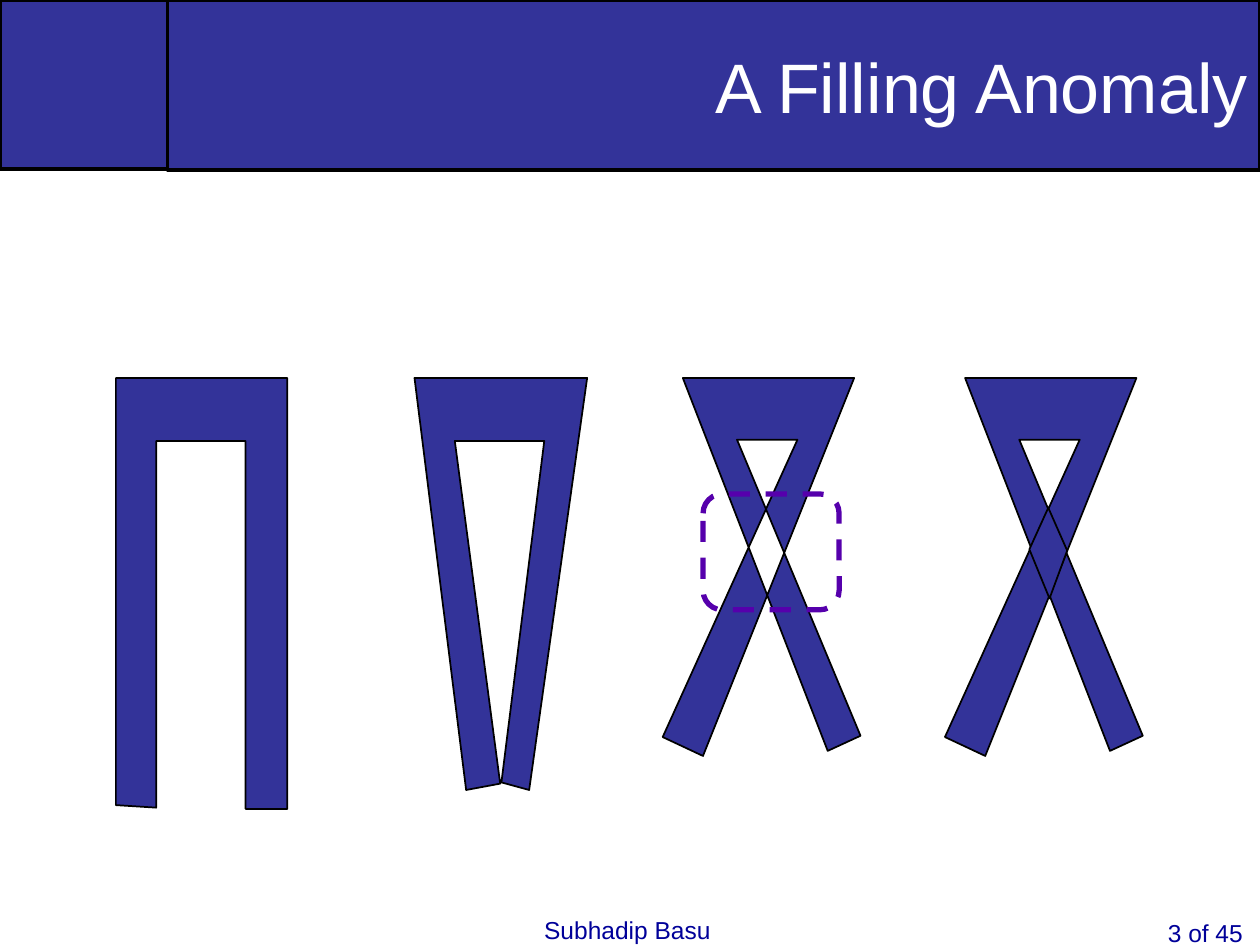
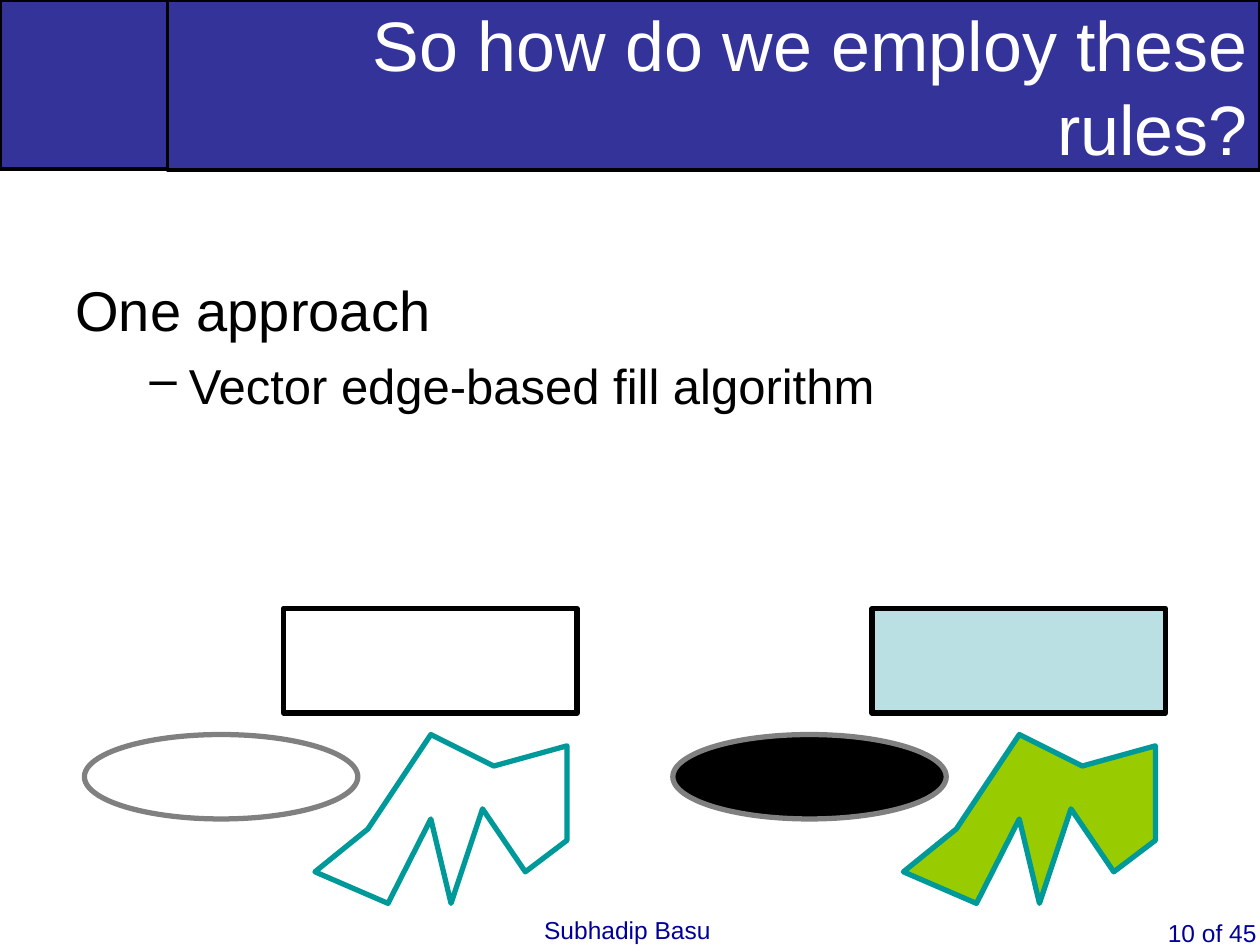
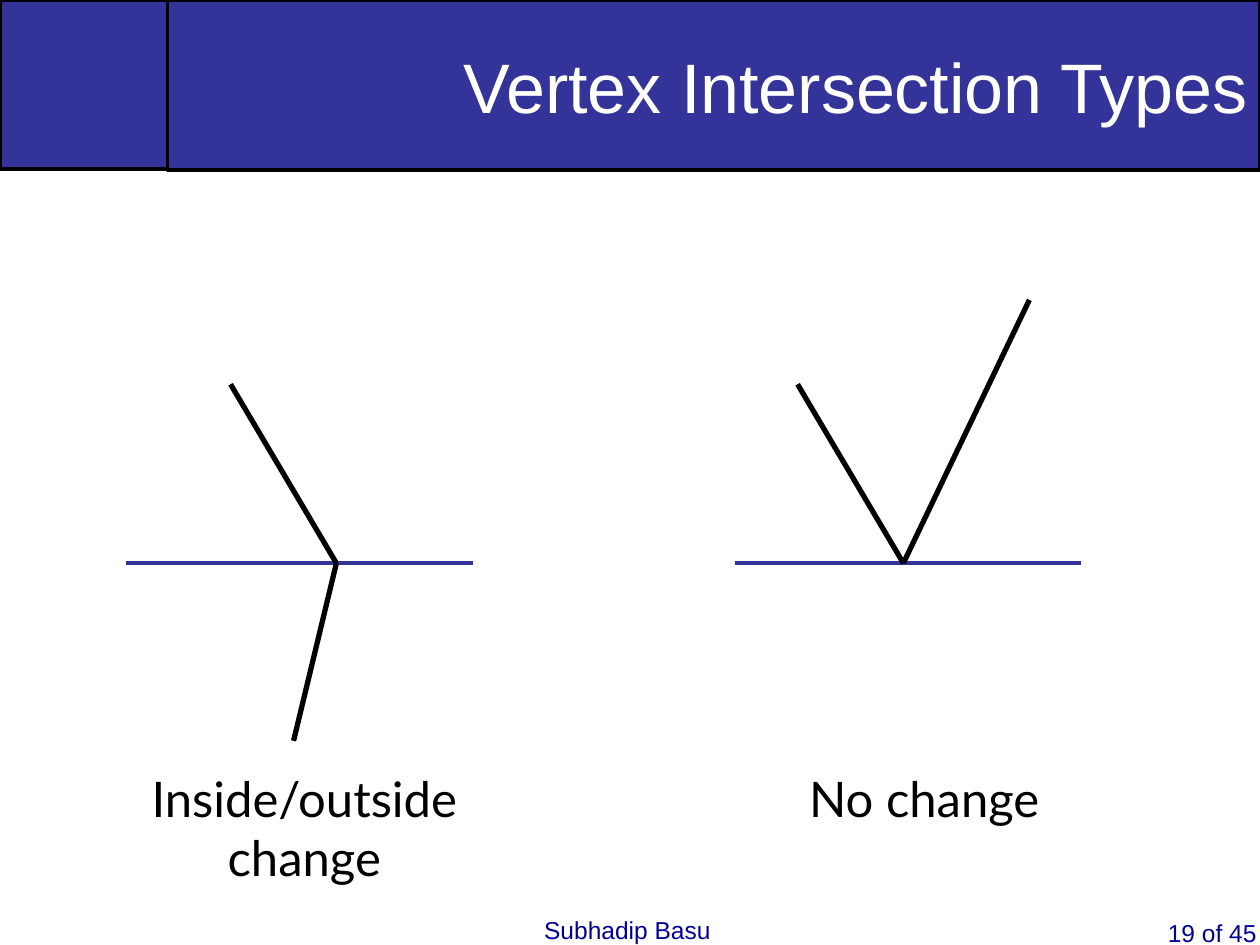
from lxml import etree
from pptx import Presentation
from pptx.dml.color import RGBColor
from pptx.enum.dml import MSO_LINE
from pptx.enum.shapes import MSO_CONNECTOR, MSO_SHAPE
from pptx.enum.text import MSO_ANCHOR, PP_ALIGN
from pptx.oxml.ns import qn
from pptx.util import Inches, Pt

RECT, ROUND, OVAL = MSO_SHAPE.RECTANGLE, MSO_SHAPE.ROUNDED_RECTANGLE, MSO_SHAPE.OVAL
LINE, DASH = MSO_CONNECTOR.STRAIGHT, MSO_LINE.DASH
LEFT, MID, RIGHT = PP_ALIGN.LEFT, PP_ALIGN.CENTER, PP_ALIGN.RIGHT
HALF = MSO_ANCHOR.MIDDLE

HUES = {
    "band": "333399", "foot": "000099", "black": "000000", "white": "FFFFFF",
    "dash": "5600AC", "pale": "BBE0E3", "gray": "808080", "lime": "99CC00",
    "teal": "009999",
}
TINT = {name: RGBColor.from_string(code) for name, code in HUES.items()}

HEAD = {"name": "Arial", "size": Pt(40)}
FOOT = {"name": "Arial", "size": Pt(14)}
MAIN = {"name": "Arial", "size": Pt(32)}
ITEM = {"name": "Arial", "size": Pt(28)}
LABEL = {"name": "Lato", "size": Pt(28)}


def paint(shape, fill, line, width):
    """Set the fill and outline; a fill of None leaves the shape open."""
    shape.shadow.inherit = False
    if fill:
        shape.fill.solid()
        shape.fill.fore_color.rgb = TINT[fill]
    else:
        shape.fill.background()
    shape.line.color.rgb = TINT[line]
    shape.line.width = Pt(width)


def write(para, text, form, hue="black", align=LEFT):
    """Add one formatted run to a paragraph."""
    para.alignment = align
    run = para.add_run()
    run.text = text
    for key, value in form.items():
        setattr(run.font, key, value)
    run.font.color.rgb = TINT[hue]


deck = Presentation()
deck.slide_width, deck.slide_height = Inches(10), Inches(7.5)

# Bands, title and footer of every slide
slides = []
for title, page in [
    ("A Filling Anomaly", 3),
    ("So how do we employ these rules?", 10),
    ("Vertex Intersection Types", 19),
]:
    slide = deck.slides.add_slide(deck.slide_layouts[6])
    slides.append(slide)
    for left, width, high in [(0, 1.33, 1.34), (1.33, 8.67, 1.35)]:
        band = slide.shapes.add_shape(RECT, Inches(left), 0, Inches(width), Inches(high))
        paint(band, "band", "black", 2)
    band.text_frame.vertical_anchor = HALF
    write(band.text_frame.paragraphs[0], title, HEAD, "white", RIGHT)
    for text, box, wrap in [
        (f"{page} of 45", (9.17, 7.24, 0.98, 0.57), True),
        ("Subhadip Basu", (4.22, 7.21, 1.52, 0.34), False),
    ]:
        foot = slide.shapes.add_textbox(*map(Inches, box)).text_frame
        foot.word_wrap = wrap
        write(foot.paragraphs[0], text, FOOT, "foot")

fold, rules, types = slides

# Slide 1: trousers whose legs close and then cross
wide = [(0.92, 6.39), (0.92, 3), (2.28, 3), (2.28, 6.42), (1.95, 6.42),
        (1.95, 3.5), (1.24, 3.5), (1.24, 6.41)]
near = [(3.7, 6.27), (3.29, 3), (4.66, 3), (4.2, 6.27), (3.98, 6.21),
        (4.32, 3.5), (3.61, 3.5), (3.97, 6.22)]
cross = [(6.57, 5.96), (5.42, 3), (6.78, 3), (5.58, 6), (5.26, 5.85),
         (6.33, 3.49), (5.85, 3.49), (6.83, 5.84)]
patch = [(8.17, 4.36), (8.32, 4.03), (8.47, 4.37), (8.33, 4.75)]
solid = [(x + 2.24, y) for x, y in cross]
for points in [wide, near, cross, solid, patch]:
    spots = [(Inches(x), Inches(y)) for x, y in points]
    pen = fold.shapes.build_freeform(*spots[0])
    pen.add_line_segments(spots[1:], close=True)
    paint(pen.convert_to_shape(), "band", "black", 1)

# Slide 1: dashed frame round the hole
frame = fold.shapes.add_shape(ROUND, *map(Inches, (5.58, 3.92, 1.08, 0.92)))
frame.adjustments[0] = 0.167
paint(frame, None, "dash", 3)
frame.line.dash_style = DASH

# Slide 2: text
body = rules.shapes.add_textbox(*map(Inches, (0.5, 2.14, 9, 2))).text_frame
body.word_wrap = True
write(body.paragraphs[0], "One approach", MAIN)
item = body.add_paragraph()
item.space_before = Pt(7)
props = item._p.get_or_add_pPr()
props.set("marL", str(Inches(0.9)))
props.set("indent", str(Inches(-0.31)))
etree.SubElement(props, qn("a:buChar")).set("char", "–")
write(item, "Vector edge-based fill algorithm", ITEM)

# Slide 2: filled shapes on the right, outlines on the left
star = [(2.92, 6.58), (3.42, 5.83), (3.92, 6.08), (4.5, 5.92), (4.5, 6.67),
        (4.17, 6.92), (3.83, 6.42), (3.58, 7.17), (3.42, 6.5), (3.08, 7.17),
        (2.5, 6.92)]
for shift, fills in [(4.67, ("pale", "black", "lime")), (0, (None, None, None))]:
    box = rules.shapes.add_shape(RECT, *map(Inches, (2.25 + shift, 4.83, 2.33, 0.83)))
    oval = rules.shapes.add_shape(OVAL, *map(Inches, (0.67 + shift, 5.83, 2.17, 0.67)))
    spots = [(Inches(x + shift), Inches(y)) for x, y in star]
    pen = rules.shapes.build_freeform(*spots[0])
    pen.add_line_segments(spots[1:], close=True)
    parts = (box, oval, pen.convert_to_shape())
    for part, fill, line in zip(parts, fills, ("black", "gray", "teal")):
        paint(part, fill, line, 3)

# Slide 3: scan lines first, then the edges that meet on them
for ends, hue, width in [
    ((1, 4.47, 3.75, 4.47), "band", 2.25),
    ((5.83, 4.47, 8.58, 4.47), "band", 2.25),
    ((1.83, 3.05, 2.67, 4.47), "black", 3),
    ((2.67, 4.47, 2.33, 5.88), "black", 3),
    ((6.33, 3.05, 7.17, 4.47), "black", 3),
    ((8.17, 2.38, 7.17, 4.47), "black", 3),
]:
    edge = types.shapes.add_connector(LINE, *map(Inches, ends))
    edge.line.color.rgb = TINT[hue]
    edge.line.width = Pt(width)
    etree.SubElement(edge._element.spPr, qn("a:effectLst"))

# Slide 3: labels
for text, left, high in [("Inside/outside change", 1.08, 1.5), ("No change", 6, 0.57)]:
    label = types.shapes.add_textbox(*map(Inches, (left, 6.05, 2.67, high))).text_frame
    label.word_wrap = True
    write(label.paragraphs[0], text, LABEL, align=MID)

deck.save("out.pptx")
